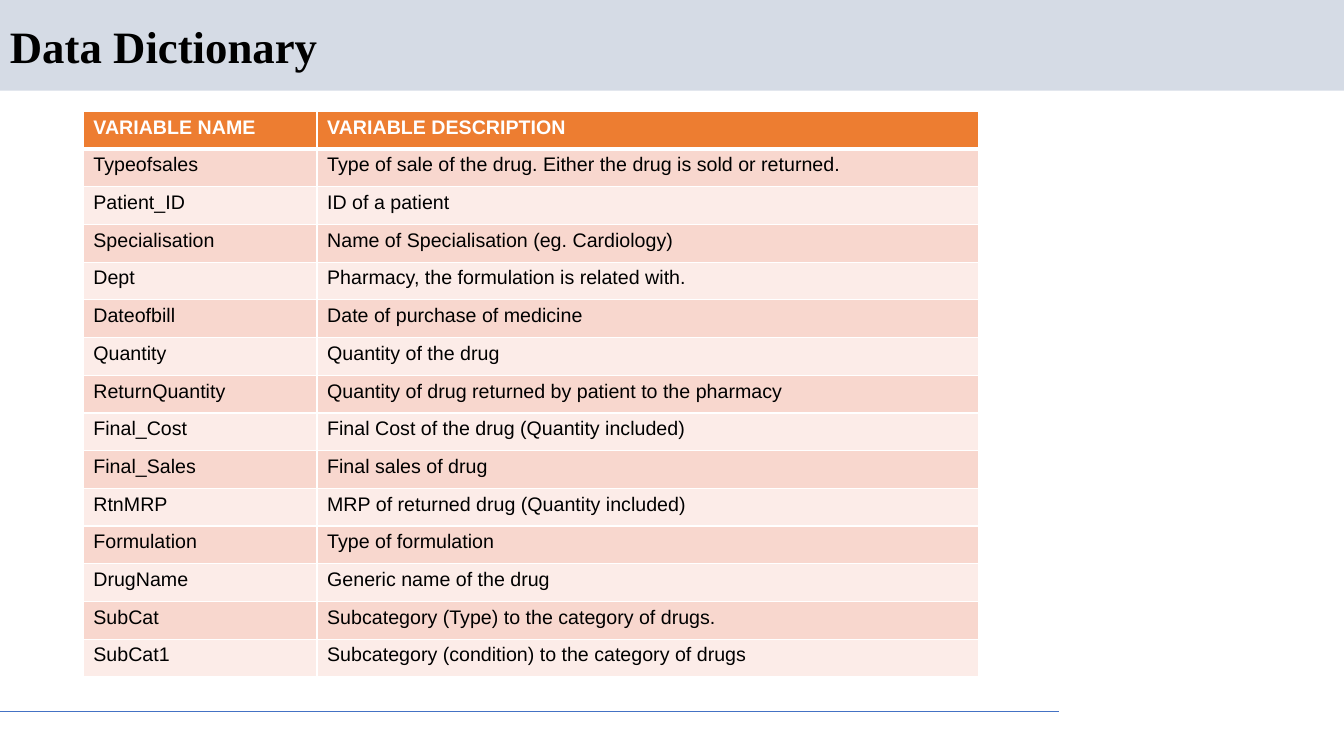
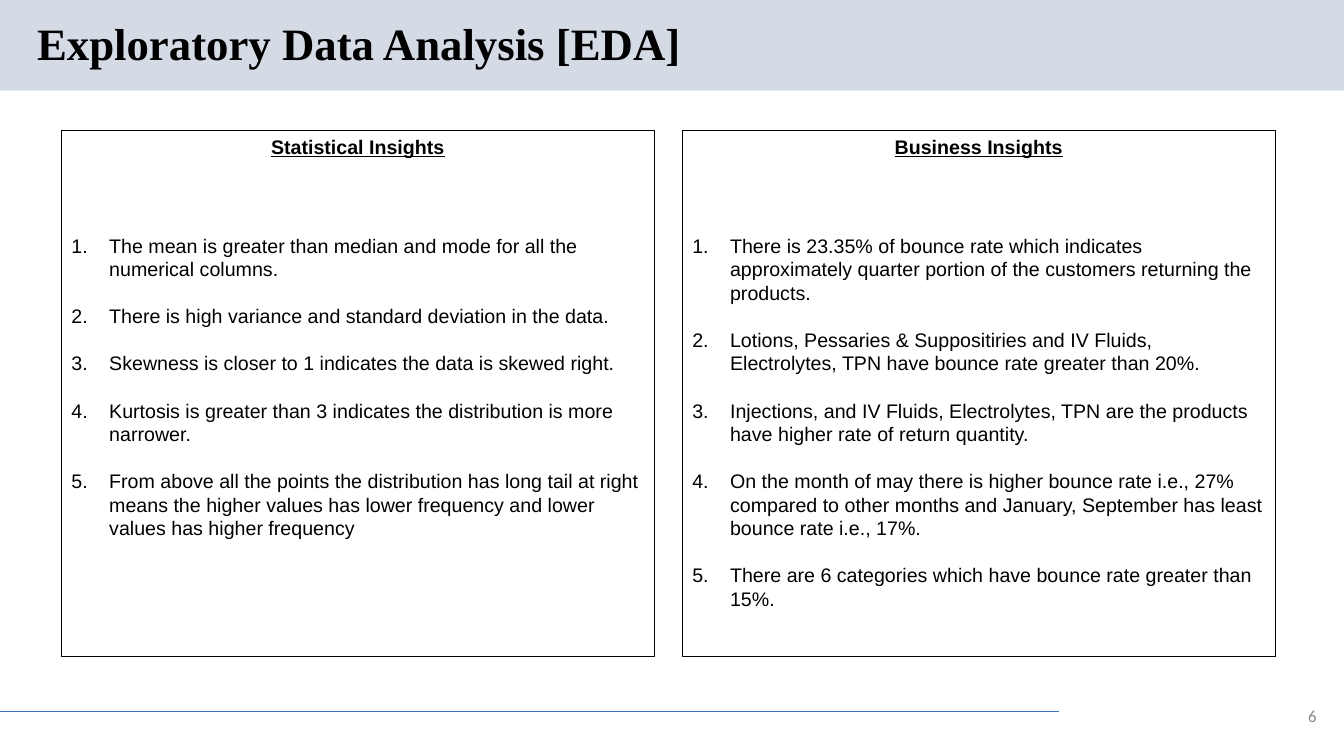
from dataclasses import dataclass

from lxml import etree
from pptx import Presentation
from pptx.dml.color import RGBColor
from pptx.enum.shapes import MSO_CONNECTOR, MSO_SHAPE
from pptx.enum.text import MSO_ANCHOR, PP_ALIGN
from pptx.oxml.ns import qn
from pptx.util import Pt

LEFT, CENTER, RIGHT = PP_ALIGN.LEFT, PP_ALIGN.CENTER, PP_ALIGN.RIGHT
TOP, MIDDLE = MSO_ANCHOR.TOP, MSO_ANCHOR.MIDDLE
RECTANGLE = MSO_SHAPE.RECTANGLE
STRAIGHT = MSO_CONNECTOR.STRAIGHT


@dataclass(frozen=True)
class Theme:
    black: str = "000000"
    white: str = "FFFFFF"
    band: str = "D5DBE5"
    rule: str = "4472C4"
    page_number: str = "888888"
    table_header: str = "ED7D31"
    table_rows: tuple = ("F8D7CE", "FCECE8")
    title_font: str = "Times New Roman"
    body_font: str = "Arial"
    number_font: str = "Calibri"
    title_size: float = 32
    body_size: float = 14
    number_size: float = 12
    hairline: float = 0.75


THEME = Theme()
PAGE_WIDTH, PAGE_HEIGHT = 960, 540
BAND_BOX = (0, 0, PAGE_WIDTH, 64.8)
RULE_BOX = (0, 508.4, 756.7, 0)
NUMBER_BOX = (916.6, 499.7, 31, 23)

VARIABLES = [
    ("VARIABLE NAME", "VARIABLE DESCRIPTION"),
    ("Typeofsales", "Type of sale of the drug. Either the drug is sold or returned."),
    ("Patient_ID", "ID of a patient"),
    ("Specialisation", "Name of Specialisation (eg. Cardiology)"),
    ("Dept", "Pharmacy, the formulation is related with."),
    ("Dateofbill", "Date of purchase of medicine"),
    ("Quantity", "Quantity of the drug"),
    ("ReturnQuantity", "Quantity of drug returned by patient to the pharmacy"),
    ("Final_Cost", "Final Cost of the drug (Quantity included)"),
    ("Final_Sales", "Final sales of drug"),
    ("RtnMRP", "MRP of returned drug (Quantity included)"),
    ("Formulation", "Type of formulation"),
    ("DrugName", "Generic name of the drug"),
    ("SubCat", "Subcategory (Type) to the category of drugs."),
    ("SubCat1", "Subcategory (condition) to the category of drugs"),
]

INSIGHTS = {
    "Statistical Insights": [
        "The mean is greater than median and mode for all the numerical columns.",
        "There is high variance and standard deviation in the data.",
        "Skewness is closer to 1 indicates the data is skewed right.",
        "Kurtosis is greater than 3 indicates the distribution is more narrower.",
        "From above all the points the distribution has long tail at right means "
        "the higher values has lower frequency and lower values has higher frequency",
    ],
    "Business Insights": [
        "There is 23.35% of bounce rate which indicates approximately quarter "
        "portion of the customers returning the products.",
        "Lotions, Pessaries & Suppositiries and IV Fluids, Electrolytes, TPN have "
        "bounce rate greater than 20%.",
        "Injections, and IV Fluids, Electrolytes, TPN are the products have higher "
        "rate of return quantity.",
        "On the month of may there is higher bounce rate i.e., 27% compared to other "
        "months and January, September has least bounce rate i.e., 17%.",
        "There are 6 categories which have bounce rate greater than 15%.",
    ],
}


def color(value):
    return RGBColor.from_string(value)


def points(box):
    return [Pt(length) for length in box]


def number_paragraph(paragraph, indent=27):
    properties = paragraph._p.get_or_add_pPr()
    properties.set("marL", str(Pt(indent)))
    properties.set("indent", str(-Pt(indent)))
    bullet_color = etree.SubElement(properties, qn("a:buClr"))
    etree.SubElement(bullet_color, qn("a:srgbClr"), val=THEME.black)
    etree.SubElement(properties, qn("a:buFont"), typeface=THEME.body_font)
    etree.SubElement(properties, qn("a:buAutoNum"), type="arabicPeriod")


def write_text(frame, text, size=THEME.body_size, font=THEME.body_font,
               fill=THEME.black, bold=False, underline=False, align=LEFT,
               anchor=TOP, line_spacing=1.0, space_after=0, numbered=False):
    frame.word_wrap = True
    frame.vertical_anchor = anchor
    frame.text = text
    for paragraph in frame.paragraphs:
        paragraph.alignment = align
        paragraph.line_spacing = line_spacing
        paragraph.space_after = Pt(space_after)
        if numbered:
            number_paragraph(paragraph)
        for run in paragraph.runs:
            run.font.size = Pt(size)
            run.font.name = font
            run.font.bold = bold
            run.font.underline = underline
            run.font.color.rgb = color(fill)


def add_text(slide, box, text, **text_format):
    shape = slide.shapes.add_textbox(*points(box))
    write_text(shape.text_frame, text, **text_format)


def add_rectangle(slide, box, fill=None, line=None):
    shape = slide.shapes.add_shape(RECTANGLE, *points(box))
    shape.shadow.inherit = False
    if fill:
        shape.fill.solid()
        shape.fill.fore_color.rgb = color(fill)
    else:
        shape.fill.background()
    if line:
        shape.line.color.rgb = color(line)
        shape.line.width = Pt(THEME.hairline)
    else:
        shape.line.fill.background()


def add_rule(slide, box):
    left, top, width, height = box
    rule = slide.shapes.add_connector(
        STRAIGHT, *points((left, top, left + width, top + height)))
    rule.line.color.rgb = color(THEME.rule)
    rule.line.width = Pt(THEME.hairline)
    etree.SubElement(rule._element.spPr, qn("a:effectLst"))


def add_base_slide(presentation, title, title_box):
    slide = presentation.slides.add_slide(presentation.slide_layouts[6])
    add_rectangle(slide, BAND_BOX, fill=THEME.band)
    add_rule(slide, RULE_BOX)
    add_text(slide, title_box, title, size=THEME.title_size, font=THEME.title_font,
             bold=True, anchor=MIDDLE, line_spacing=0.9)
    return slide


def set_borders(cell, top=1, bottom=1):
    properties = cell._tc.get_or_add_tcPr()
    for side, width in (("L", 1), ("R", 1), ("T", top), ("B", bottom)):
        border = etree.SubElement(properties, qn(f"a:ln{side}"), w=str(Pt(width)))
        fill = etree.SubElement(border, qn("a:solidFill"))
        etree.SubElement(fill, qn("a:srgbClr"), val=THEME.white)


def add_variable_table(slide, box, rows, name_width):
    left, top, width, height = box
    table = slide.shapes.add_table(len(rows), 2, *points(box)).table
    for column, column_width in zip(table.columns, (name_width, width - name_width)):
        column.width = Pt(column_width)
    for row_index, values in enumerate(rows):
        table.rows[row_index].height = Pt(height / len(rows))
        header = row_index == 0
        fill = THEME.table_header if header else THEME.table_rows[(row_index - 1) % 2]
        for column_index, text in enumerate(values):
            cell = table.cell(row_index, column_index)
            set_borders(cell, top=3 if row_index == 1 else 1, bottom=3 if header else 1)
            cell.fill.solid()
            cell.fill.fore_color.rgb = color(fill)
            write_text(cell.text_frame, text, bold=header,
                       fill=THEME.white if header else THEME.black)


def add_insight_panel(slide, box, heading, items):
    left, top, width, height = box
    list_offset = 70.5
    add_rectangle(slide, box, line=THEME.black)
    add_text(slide, (left, top, width, 24.5), heading,
             bold=True, underline=True, align=CENTER)
    add_text(slide, (left, top + list_offset, width, height - list_offset),
             "\n".join(items), space_after=16.8, numbered=True)


def add_dictionary_slide(presentation):
    slide = add_base_slide(presentation, "Data Dictionary", (0, 13.7, 828, 42.5))
    add_variable_table(slide, (59.5, 79.5, 639.5, 404), VARIABLES, name_width=167)


def add_analysis_slide(presentation):
    slide = add_base_slide(presentation, "Exploratory Data Analysis [EDA]",
                           (19.4, 11.5, 728, 42.5))
    add_text(slide, NUMBER_BOX, "6", size=THEME.number_size, font=THEME.number_font,
             fill=THEME.page_number, align=RIGHT, anchor=MIDDLE)
    left, top, width, height, gap = 43.9, 92.9, 423.4, 375.8, 20.1
    for index, (heading, items) in enumerate(INSIGHTS.items()):
        panel_box = (left + index * (width + gap), top, width, height)
        add_insight_panel(slide, panel_box, heading, items)


def main():
    presentation = Presentation()
    presentation.slide_width = Pt(PAGE_WIDTH)
    presentation.slide_height = Pt(PAGE_HEIGHT)
    add_dictionary_slide(presentation)
    add_analysis_slide(presentation)
    presentation.save("out.pptx")


if __name__ == "__main__":
    main()
